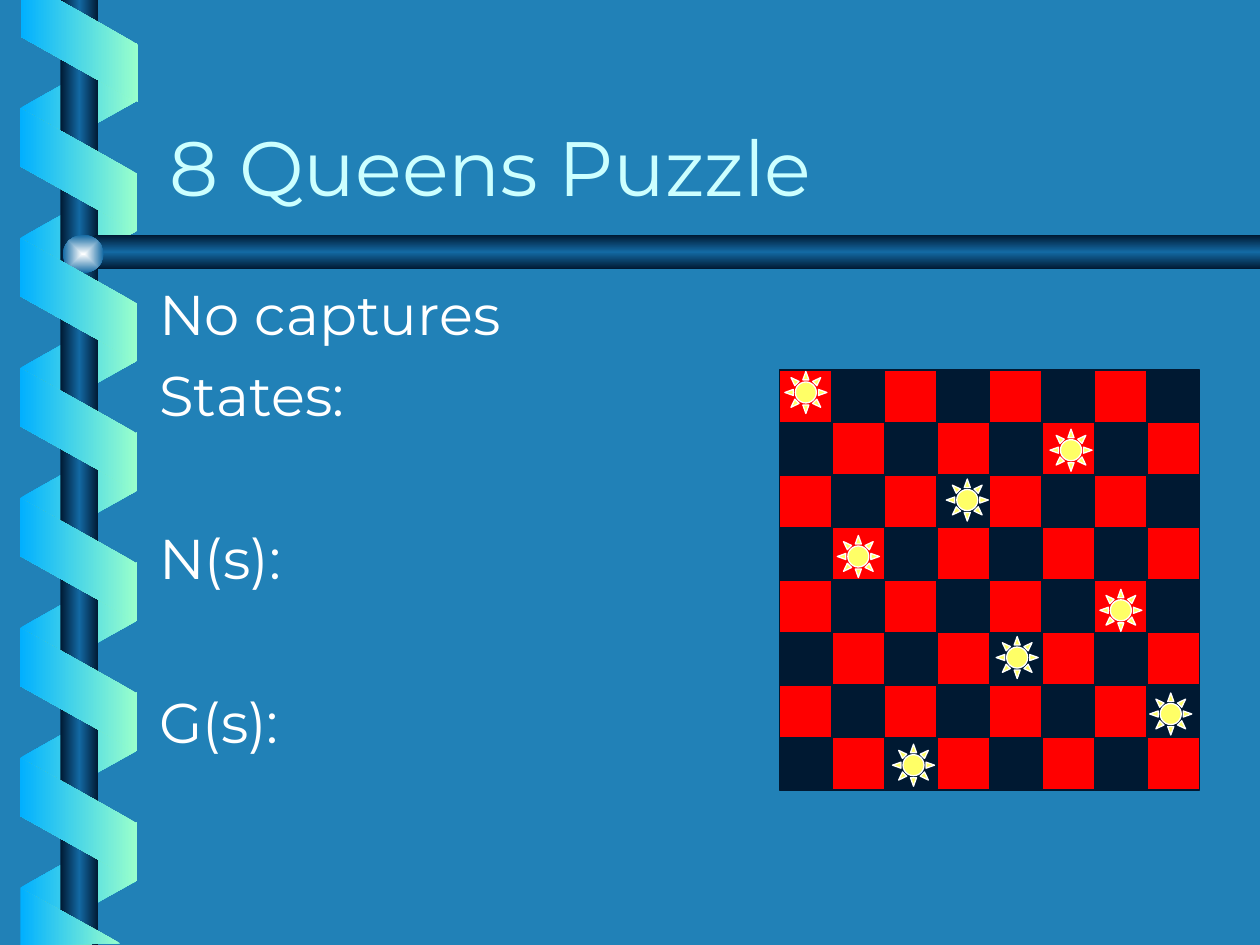
from dataclasses import dataclass

from lxml import etree
from pptx import Presentation
from pptx import util as u
from pptx.dml.color import RGBColor
from pptx.enum import shapes, text
from pptx.oxml import ns

PX = 9525
KIND = shapes.MSO_SHAPE
FONT = "Montserrat"
INK = {
    "back": "2181B7", "navy": "001932", "steel": "1369A3", "sky": "01B0FF",
    "mint": "99FFCC", "glow": "FEFFFF", "ice": "CCFFFF", "white": "FFFFFF",
    "red": "FF0000", "sun": "FFFF66",
}
ROD = ("navy", "steel", "navy")
FRONT = ("mint", "sky")


@dataclass
class Box:
    x: int
    y: int
    w: int
    h: int


@dataclass
class Band:
    top: int
    count: int
    turn: int
    flip: bool
    inks: tuple


@dataclass
class Cut:
    dots: list
    inks: tuple
    angle: int


BANDS = (Band(35, 7, 90, True, FRONT[::-1]), Band(85, 6, 270, False, FRONT))
BAR = Cut([(960, 179), (73, 179), (58, 192), (73, 205), (960, 205)], ROD, 90)
ENDS = (
    Cut([(16, 0), (16, 28), (105, 78), (105, 34), (45, 0)], FRONT, 180),
    Cut([(92, 719), (16, 677), (16, 720)], FRONT, 180),
)
CELL, SIDE = 40, 8
BOARD = Box(594, 282, CELL * SIDE, CELL * SIDE)
QUEENS = [(598, 283), (638, 408), (680, 567), (721, 365),
          (759, 485), (800, 327), (838, 449), (876, 528)]


def tint(name: str) -> RGBColor:
    return RGBColor.from_string(INK[name])


def blend(shape, inks: tuple, angle=None) -> None:
    props = shape._element.spPr
    shape.fill.background()
    old = props.find(ns.qn("a:noFill"))
    grad = etree.Element(ns.qn("a:gradFill"), rotWithShape="0")
    stops = etree.SubElement(grad, ns.qn("a:gsLst"))
    for i, ink in enumerate(inks):
        stop = etree.SubElement(stops, ns.qn("a:gs"), pos=str(100000 * i // (len(inks) - 1)))
        etree.SubElement(stop, ns.qn("a:srgbClr"), val=INK[ink])
    if angle is None:
        way = etree.SubElement(grad, ns.qn("a:path"), path="rect")
        etree.SubElement(way, ns.qn("a:fillToRect"), {side: "50000" for side in "ltrb"})
    else:
        etree.SubElement(grad, ns.qn("a:lin"), ang=str(angle * 60000), scaled="1")
    props.replace(old, grad)
    shape.line.fill.background()
    shape.shadow.inherit = False


def place(slide, kind, box: Box):
    return slide.shapes.add_shape(kind, *(n * PX for n in (box.x, box.y, box.w, box.h)))


def plain(slide, kind, box: Box, fill: str, line: str) -> None:
    shape = place(slide, kind, box)
    shape.fill.solid()
    shape.fill.fore_color.rgb = tint(fill)
    shape.line.color.rgb = tint(line)
    shape.line.width = u.Pt(0.75)
    shape.shadow.inherit = False


def wind(slide, band: Band) -> None:
    for i in range(band.count):
        shape = place(slide, KIND.PARALLELOGRAM, Box(13, band.top + 99 * i, 94, 89))
        shape.adjustments[0] = 0.56
        shape.rotation = band.turn
        if band.flip:
            shape._element.spPr.xfrm.set("flipH", "1")
        blend(shape, band.inks, 180)


def carve(slide, cut: Cut) -> None:
    pen = slide.shapes.build_freeform(*cut.dots[0], scale=PX)
    pen.add_line_segments(cut.dots[1:], close=True)
    blend(pen.convert_to_shape(), cut.inks, cut.angle)


def write(slide, box: Box, lines: list, *, size: int, ink: str,
          anchor=text.MSO_ANCHOR.TOP) -> None:
    area = slide.shapes.add_textbox(*(n * PX for n in (box.x, box.y, box.w, box.h)))
    frame = area.text_frame
    frame.word_wrap = True
    frame.vertical_anchor = anchor
    for i, (words, gap) in enumerate(lines):
        para = frame.add_paragraph() if i else frame.paragraphs[0]
        para.space_before = u.Pt(gap)
        run = para.add_run()
        run.text = words
        run.font.name = FONT
        run.font.size = u.Pt(size)
        run.font.color.rgb = tint(ink)


def main() -> None:
    deck = Presentation()
    deck.slide_width, deck.slide_height = 960 * PX, 720 * PX
    slide = deck.slides.add_slide(deck.slide_layouts[6])
    slide.background.fill.solid()
    slide.background.fill.fore_color.rgb = tint("back")

    back, front = BANDS
    wind(slide, back)
    blend(place(slide, KIND.RECTANGLE, Box(46, 0, 29, 720)), ROD, 180)
    carve(slide, BAR)
    blend(place(slide, KIND.OVAL, Box(48, 179, 31, 29)), ("glow", "steel"))
    wind(slide, front)
    for end in ENDS:
        carve(slide, end)

    write(slide, Box(120, 85, 816, 81), [("8 Queens Puzzle", 0)],
          size=44, ink="ice", anchor=text.MSO_ANCHOR.BOTTOM)
    write(slide, Box(112, 208, 824, 432),
          [("No captures", 8), ("States:", 8), ("N(s):", 55), ("G(s):", 55)],
          size=32, ink="white")

    for col in range(SIDE):
        for row in range(SIDE):
            cell = Box(BOARD.x + col * CELL, BOARD.y + row * CELL, CELL, CELL)
            plain(slide, KIND.RECTANGLE, cell, ("red", "navy")[(col + row) % 2], "navy")
    for x, y in QUEENS:
        plain(slide, KIND.SUN, Box(x, y, 32, 32), "sun", "white")

    deck.save("out.pptx")


if __name__ == "__main__":
    main()
